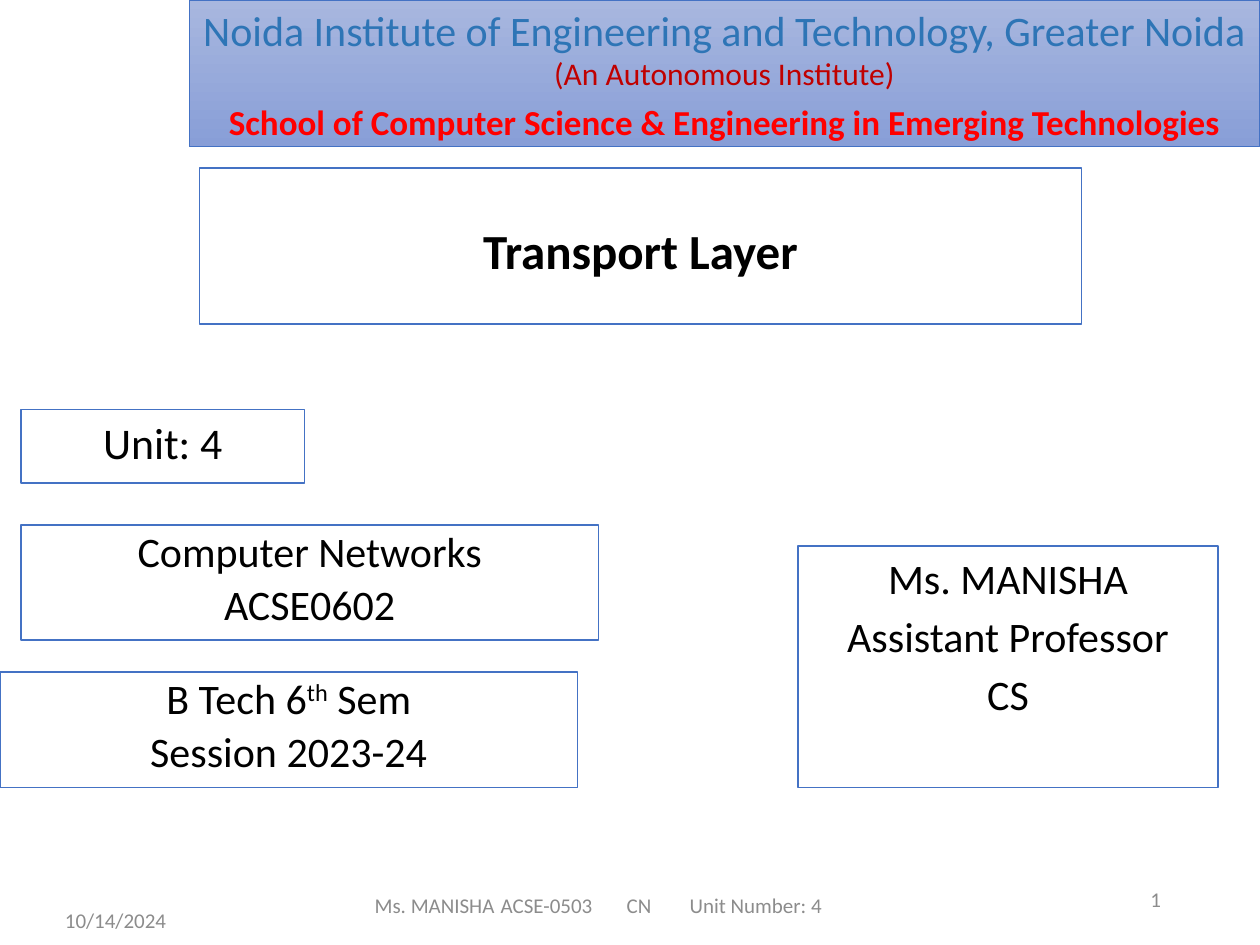
from lxml import etree
from pptx import Presentation
from pptx.dml.color import RGBColor
from pptx.enum import shapes, text
from pptx.oxml import ns
from pptx.util import Pt

FONT = "Calibri"
BORDER = "4472C4"
GREY = "8C8C8C"
CENTER = text.PP_ALIGN.CENTER
LEFT = text.PP_ALIGN.LEFT
RIGHT = text.PP_ALIGN.RIGHT
MIDDLE = text.MSO_ANCHOR.MIDDLE
TOP = text.MSO_ANCHOR.TOP


def color(value):
    return RGBColor.from_string(value)


def format_run(run, size, value="000000", bold=False):
    run.font.name = FONT
    run.font.size = Pt(size)
    run.font.bold = bold
    run.font.color.rgb = color(value)


def add_panel(slide, box, content, size, bold=False, spacing=1, anchor=TOP, border=1):
    shape = slide.shapes.add_shape(shapes.MSO_SHAPE.RECTANGLE, *map(Pt, box))
    shape.shadow.inherit = False
    shape.fill.solid()
    shape.fill.fore_color.rgb = color("FFFFFF")
    shape.line.color.rgb = color(BORDER)
    shape.line.width = Pt(border)
    frame = shape.text_frame
    frame.word_wrap = True
    frame.vertical_anchor = anchor
    frame.text = content
    for index, paragraph in enumerate(frame.paragraphs):
        paragraph.alignment = CENTER
        paragraph.line_spacing = spacing
        paragraph.space_before = Pt(4.5 if index else 0)
        for run in paragraph.runs:
            format_run(run, size, bold=bold)
    return shape


def add_header(slide, box):
    lines = [
        ("Noida Institute of Engineering and Technology, Greater Noida", 24, "2E75B6", False, 0),
        ("(An Autonomous Institute)", 18, "C00000", False, 0),
        ("School of Computer Science & Engineering in Emerging Technologies", 20, "FF0000", True, 5),
    ]
    content = "\n".join(line[0] for line in lines)
    shape = add_panel(slide, box, content, 24, anchor=MIDDLE, border=0.5)
    shape.fill.gradient()
    shape.fill.gradient_angle = 270
    for stop, value in zip(shape.fill.gradient_stops, ("A8B7DF", "889ED7")):
        stop.color.rgb = color(value)
    for paragraph, (_, size, value, bold, gap) in zip(shape.text_frame.paragraphs, lines):
        paragraph.space_before = Pt(gap)
        format_run(paragraph.runs[0], size, value, bold)


def add_title(slide, box):
    shape = add_panel(slide, box, "Transport Layer", 28, bold=True, anchor=MIDDLE)
    shape.text_frame.margin_top = Pt(8)


def add_session(slide, box):
    shape = add_panel(slide, box, "B Tech 6\nSession 2023-24", 24, spacing=0.9)
    semester = shape.text_frame.paragraphs[0]
    for content in ("th", " Sem"):
        run = semester.add_run()
        run.text = content
        format_run(run, 24)
    semester.runs[1].font._element.set("baseline", "30000")


def set_tabs(paragraph, indent, stops):
    properties = paragraph._p.get_or_add_pPr()
    properties.set("marL", str(Pt(indent)))
    properties.set("indent", "0")
    tabs = etree.SubElement(properties, ns.qn("a:tabLst"))
    for stop in stops:
        etree.SubElement(tabs, ns.qn("a:tab"), pos=str(Pt(stop)), algn="l")


def add_footer_text(slide, box, content, alignment, indent=0, stops=()):
    frame = slide.shapes.add_textbox(*map(Pt, box)).text_frame
    frame.word_wrap = True
    frame.vertical_anchor = MIDDLE
    frame.text = content
    paragraph = frame.paragraphs[0]
    if stops:
        set_tabs(paragraph, indent, stops)
    paragraph.alignment = alignment
    for run in paragraph.runs:
        format_run(run, 12, GREY)


def add_footer(slide, box):
    left, top, height = box
    add_footer_text(slide, (left, top + 11.5, 168, height), "10/14/2024", LEFT)
    add_footer_text(slide, (left + 150, top + 3, 396, height),
                    "Ms. MANISHA\tACSE-0503\tCN\tUnit Number: 4", LEFT, 27, (125, 223, 278))
    add_footer_text(slide, (left + 596, top, 44.5, height), "1", RIGHT)


def main():
    presentation = Presentation()
    presentation.slide_width = Pt(720)
    presentation.slide_height = Pt(540)
    slide = presentation.slides.add_slide(presentation.slide_layouts[6])
    add_title(slide, (114, 96, 504, 89))
    add_footer(slide, (30, 499.7, 28.8))
    add_panel(slide, (456, 312, 240, 138), "Ms. MANISHA\nAssistant Professor\nCS", 24)
    add_panel(slide, (12, 234, 162, 42), "Unit: 4", 25)
    add_panel(slide, (12, 300, 330, 66), "Computer Networks\nACSE0602", 24, spacing=0.9)
    add_session(slide, (0, 384, 330, 66))
    add_header(slide, (108, 0, 612, 84))
    presentation.save("out.pptx")


if __name__ == "__main__":
    main()
